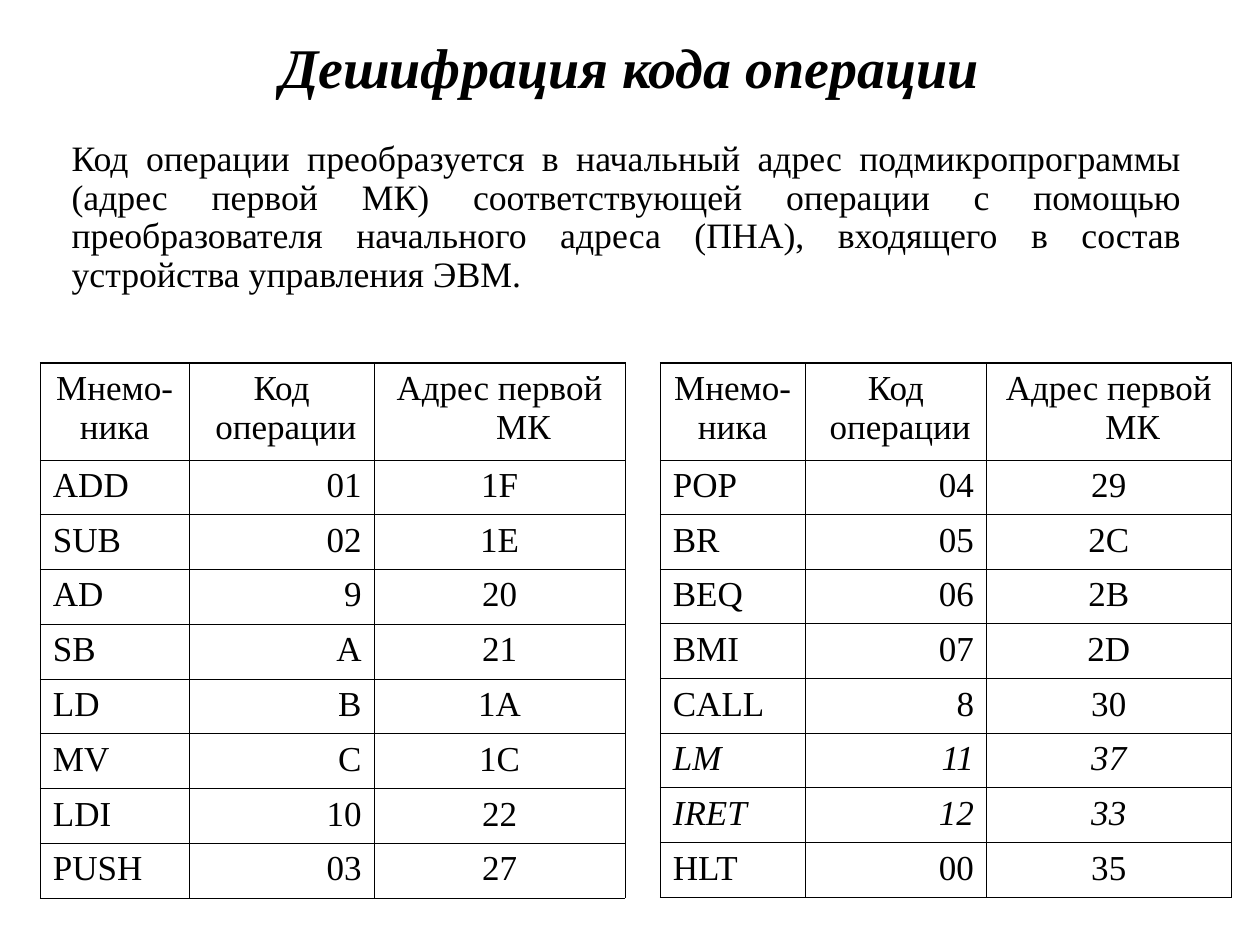
import pptx
import pptx.dml.color
import pptx.enum.text
import pptx.oxml
import pptx.oxml.ns
import pptx.util
from pptx.util import Inches

BLACK = pptx.dml.color.RGBColor(0, 0, 0)
FONT = "Times New Roman"
ALIGN = pptx.enum.text.PP_ALIGN
COLUMN_ALIGNMENTS = (ALIGN.LEFT, ALIGN.RIGHT, ALIGN.CENTER)
HEADER_HEIGHT = 0.77
HANGING_INDENT = 0.38
THIN_LINE = 0.45
TOP_LINE = 0.96

TITLE = "Дешифрация кода операции"
EXPLANATION = (
    "Код операции преобразуется в начальный адрес подмикропрограммы "
    "(адрес первой МК) соответствующей операции с помощью преобразователя "
    "начального адреса (ПНА), входящего в состав устройства управления ЭВМ."
)
HEADERS = ("Мнемо-\nника", "Код\n операции", "Адрес первой МК")
LEFT_CODES = (
    ("ADD", "01", "1F"),
    ("SUB", "02", "1E"),
    ("AD", "9", "20"),
    ("SB", "A", "21"),
    ("LD", "B", "1A"),
    ("MV", "C", "1C"),
    ("LDI", "10", "22"),
    ("PUSH", "03", "27"),
)
RIGHT_CODES = (
    ("POP", "04", "29"),
    ("BR", "05", "2С"),
    ("BEQ", "06", "2B"),
    ("BMI", "07", "2D"),
    ("CALL", "8", "30"),
    ("LM", "11", "37"),
    ("IRET", "12", "33"),
    ("HLT", "00", "35"),
)
ITALIC_MNEMONICS = ("LM", "IRET")


def style_paragraph(paragraph, size, alignment, bold=False, italic=False):
    paragraph.alignment = alignment
    font = paragraph.font
    font.name = FONT
    font.size = pptx.util.Pt(size)
    font.color.rgb = BLACK
    font.bold = bold
    font.italic = italic


def add_text(slide, box, text, size, alignment, **emphasis):
    """Add a vertically centred, wrapped text box and return its paragraph."""
    frame = slide.shapes.add_textbox(*map(Inches, box)).text_frame
    frame.word_wrap = True
    frame.vertical_anchor = pptx.enum.text.MSO_ANCHOR.MIDDLE
    paragraph = frame.paragraphs[0]
    paragraph.text = text
    style_paragraph(paragraph, size, alignment, **emphasis)
    return paragraph


def set_borders(cell, top_width):
    properties = cell._tc.get_or_add_tcPr()
    widths = {"lnL": THIN_LINE, "lnR": THIN_LINE, "lnT": top_width, "lnB": THIN_LINE}
    for side, width in widths.items():
        properties.append(pptx.oxml.parse_xml(
            f'<a:{side} {pptx.oxml.ns.nsdecls("a")} w="{pptx.util.Pt(width)}">'
            f'<a:solidFill><a:srgbClr val="{BLACK}"/></a:solidFill></a:{side}>'
        ))


def fill_cell(cell, text, alignment, italic, top_width):
    cell.text = text
    for paragraph in cell.text_frame.paragraphs:
        style_paragraph(paragraph, 20, alignment, italic=italic)
        properties = paragraph._p.get_or_add_pPr()
        properties.set("marL", str(Inches(HANGING_INDENT)))
        properties.set("indent", str(-Inches(HANGING_INDENT)))
    set_borders(cell, top_width)
    cell.fill.background()


def add_code_table(slide, box, column_widths, codes):
    rows = (HEADERS, *codes)
    table = slide.shapes.add_table(len(rows), len(HEADERS), *map(Inches, box)).table
    table.first_row = False
    table.horz_banding = False
    for column, width in zip(table.columns, column_widths):
        column.width = Inches(width)
    code_height = (box[3] - HEADER_HEIGHT) / len(codes)
    for row_index, values in enumerate(rows):
        is_header = row_index == 0
        table.rows[row_index].height = Inches(HEADER_HEIGHT if is_header else code_height)
        for column_index, value in enumerate(values):
            fill_cell(
                table.cell(row_index, column_index),
                value,
                ALIGN.CENTER if is_header else COLUMN_ALIGNMENTS[column_index],
                italic=values[0] in ITALIC_MNEMONICS,
                top_width=TOP_LINE if is_header else THIN_LINE,
            )


def main():
    presentation = pptx.Presentation()
    presentation.slide_width = Inches(10)
    presentation.slide_height = Inches(7.5)
    slide = presentation.slides.add_slide(presentation.slide_layouts[6])
    add_text(slide, (0.5, 0.17, 9, 0.71), TITLE, 32, ALIGN.CENTER, bold=True, italic=True)
    add_code_table(slide, (0.32, 2.88, 4.64, 4.25), (1.18, 1.47, 1.99), LEFT_CODES)
    add_code_table(slide, (5.24, 2.88, 4.53, 4.23), (1.15, 1.44, 1.94), RIGHT_CODES)
    explanation = add_text(slide, (0.47, 0.99, 9, 1.48), EXPLANATION, 20.4, ALIGN.JUSTIFY)
    explanation.line_spacing = 0.9
    presentation.save("out.pptx")


if __name__ == "__main__":
    main()
